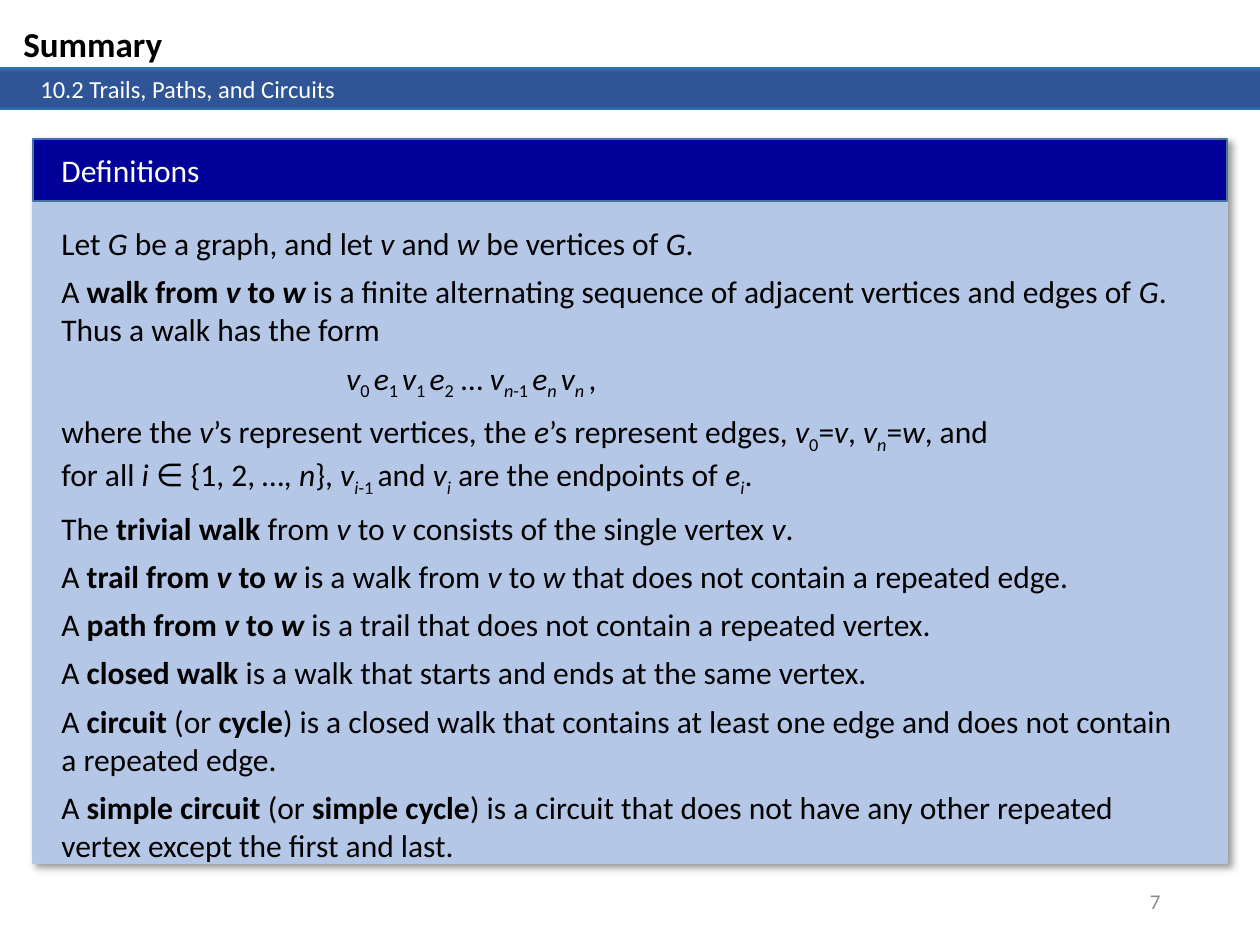
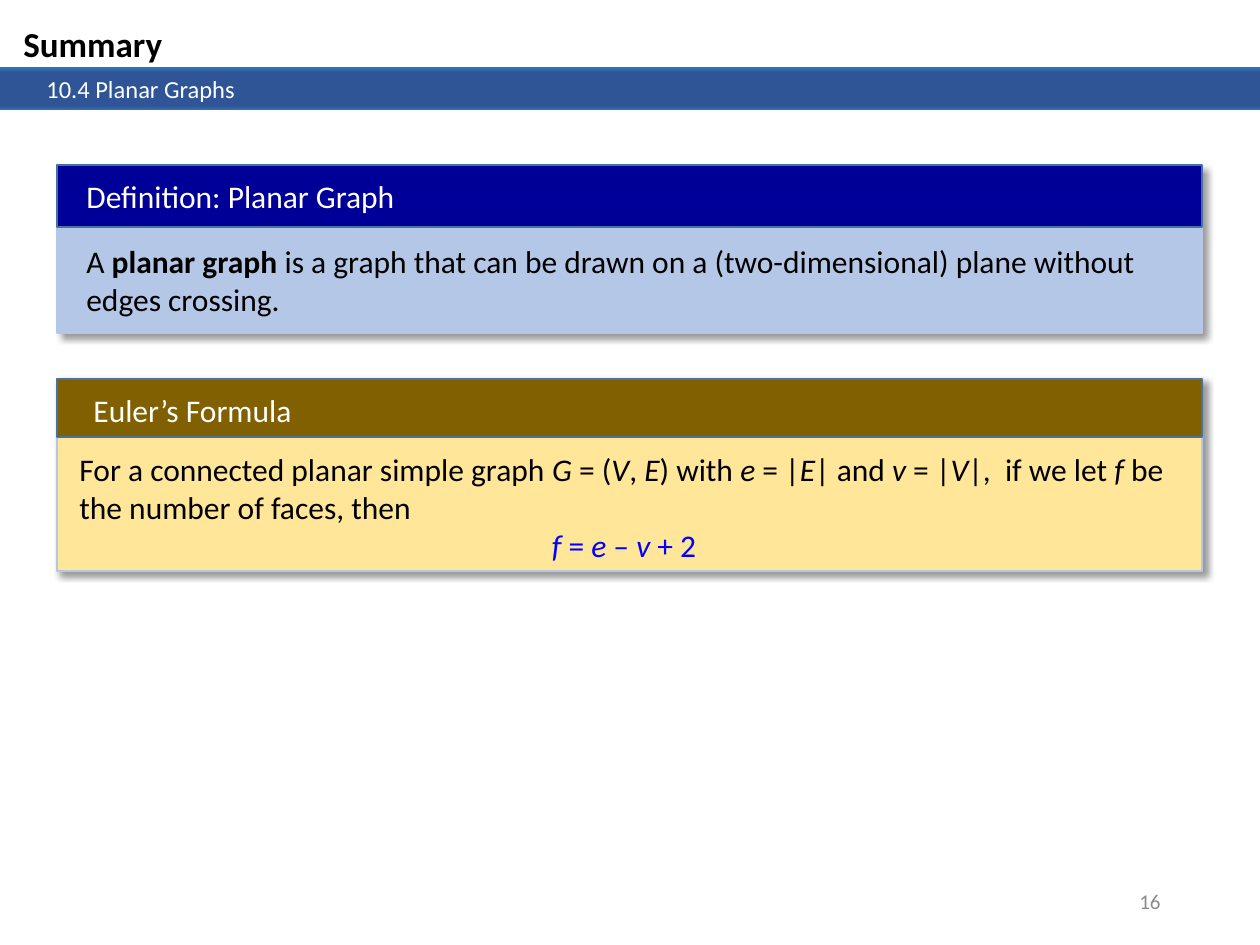
from dataclasses import dataclass
from itertools import groupby

from lxml import etree
from pptx import Presentation
from pptx import util as u
from pptx.dml.color import RGBColor
from pptx.enum import shapes, text
from pptx.oxml import ns

PIXELS_PER_INCH = 126
SLIDE_WIDTH, SLIDE_HEIGHT = 1260, 945
STYLE_MARKS = {"*": "bold", "~": "italic", "_": "subscript"}


@dataclass(frozen=True)
class Theme:
    """Colours, font and type sizes shared by the slides."""
    font: str = "Calibri"
    black: str = "000000"
    white: str = "FFFFFF"
    grey: str = "8C8C8C"
    formula: str = "0000FF"
    band_edge: str = "2E75B6"
    band_middle: str = "2F5597"
    card_line: str = "B4C7E7"
    header_line: str = "43739E"
    blue: tuple = ("000099", "B4C7E7")
    gold: tuple = ("806000", "FFE699")
    title_size: int = 20
    body_size: int = 18
    band_size: int = 14
    number_size: int = 12


THEME = Theme()


def px(length):
    """Turn pixels into EMU."""
    return u.Emu(round(length * u.Inches(1) / PIXELS_PER_INCH))


def add_xml(shape, tag, content, **attributes):
    """Build a drawing element from XML text, with attributes, for a shape."""
    element = etree.fromstring(f'<a:{tag} {ns.nsdecls("a")}>{content}</a:{tag}>')
    for name, value in attributes.items():
        element.set(name, str(value))
    properties = shape._element.spPr
    if tag == "gradFill":
        properties.insert(2, element)
    else:
        properties.append(element)


def write(paragraph, source, size, color, bold=False, align="LEFT", after=0, indent=0):
    """Fill a paragraph: * is bold, ~ italic, _ subscript, each on and off."""
    paragraph_format = {"alignment": getattr(text.PP_ALIGN, align),
                        "space_after": u.Pt(after)}
    for name, value in paragraph_format.items():
        setattr(paragraph, name, value)
    if indent:
        paragraph._p.get_or_add_pPr().set("marL", str(px(indent)))
    style = {"bold": bold, "italic": False, "subscript": False}
    for is_plain, group in groupby(source, lambda c: c not in STYLE_MARKS and c != "\n"):
        piece = "".join(group)
        if not is_plain:
            for mark in piece:
                if mark == "\n":
                    paragraph.add_line_break()
                else:
                    style[STYLE_MARKS[mark]] = not style[STYLE_MARKS[mark]]
            continue
        run = paragraph.add_run()
        run.text = piece
        font_format = {"name": THEME.font, "size": u.Pt(size),
                       "bold": style["bold"], "italic": style["italic"]}
        for name, value in font_format.items():
            setattr(run.font, name, value)
        run.font.color.rgb = RGBColor.from_string(color)
        if style["subscript"]:
            run._r.get_or_add_rPr().set("baseline", "-25000")


def add_text(parent, box, paragraphs, anchor="TOP"):
    """Add a wrapping text box; each paragraph is a dict of write arguments."""
    frame = parent.shapes.add_textbox(*map(px, box)).text_frame
    frame.word_wrap = True
    frame.vertical_anchor = getattr(text.MSO_ANCHOR, anchor)
    for index, options in enumerate(paragraphs):
        write(frame.add_paragraph() if index else frame.paragraphs[0], **options)


def add_box(parent, box, fill=None, line=None):
    """Add a rectangle with an optional solid fill and one-point line."""
    shape = parent.shapes.add_shape(shapes.MSO_SHAPE.RECTANGLE, *map(px, box))
    shape.shadow.inherit = False
    if fill:
        shape.fill.solid()
        shape.fill.fore_color.rgb = RGBColor.from_string(fill)
    if line:
        shape.line.color.rgb = RGBColor.from_string(line)
        shape.line.width = u.Pt(1)
    else:
        shape.line.fill.background()
    return shape


def add_band(slide, box, section, indent):
    """Add the two overlapping gradient strips that carry the section name."""
    left, top, width, height = box
    stops = ((0, THEME.band_edge), (11, THEME.band_middle),
             (91, THEME.band_middle), (100, THEME.band_edge))
    gradient = "".join(f'<a:gs pos="{place * 1000}"><a:srgbClr val="{color}"/></a:gs>'
                       for place, color in stops)
    for strip in ((left, top, width, height - 5), (left, top + 1, width, height - 1)):
        shape = add_box(slide, strip)
        add_xml(shape, "gradFill", f'<a:gsLst>{gradient}</a:gsLst><a:lin ang="5400000"/>')
    shape.text_frame.vertical_anchor = text.MSO_ANCHOR.TOP
    write(shape.text_frame.paragraphs[0], section, THEME.band_size, THEME.white,
          indent=indent)


def add_card(slide, box, colors, header_height, label, label_left, body_box, paragraphs):
    """Add a shadowed card; label and body are placed relative to its corner."""
    left, top, width, height = box
    header_color, body_color = colors
    group = slide.shapes.add_group_shape()
    card = add_box(group, box, body_color, THEME.card_line)
    effects = card._element.spPr.find(ns.qn("a:effectLst"))
    card._element.spPr.remove(effects)
    add_xml(card, "effectLst",
            f'<a:outerShdw blurRad="{u.Pt(4)}" dist="{u.Pt(3)}" dir="2700000" '
            f'algn="tl" rotWithShape="0"><a:srgbClr val="{THEME.black}">'
            '<a:alpha val="40000"/></a:srgbClr></a:outerShdw>')
    add_box(group, (left, top, width, header_height), header_color, THEME.header_line)
    add_text(group, (left + label_left, top + 6, width - 4 * label_left, 50),
             [{"source": label, "size": THEME.body_size, "color": THEME.white}])
    body_left, body_top, body_width, body_height = body_box
    body_style = {"size": THEME.body_size, "color": THEME.black}
    add_text(group, (left + body_left, top + body_top, body_width, body_height),
             [body_style | paragraph for paragraph in paragraphs])


def add_summary_slide(presentation, section, indent, number):
    """Add a slide with the shared title, section band and slide number."""
    slide = presentation.slides.add_slide(presentation.slide_layouts[6])
    add_band(slide, (0, 67, SLIDE_WIDTH, 43), section, indent)
    add_text(slide, (11, 16, 339, 55),
             [{"source": "Summary", "size": THEME.title_size, "color": THEME.black,
               "bold": True}])
    add_text(slide, (890, 876, 283, 50),
             [{"source": str(number), "size": THEME.number_size, "color": THEME.grey,
               "align": "RIGHT"}], anchor="MIDDLE")
    return slide


def build_walks_slide(presentation):
    """Build the slide that defines walks, trails, paths and circuits."""
    slide = add_summary_slide(presentation, "10.2 Trails, Paths, and Circuits", 28, 7)
    definitions = [
        "Let ~G ~be a graph, and let ~v~ and ~w~ be vertices of ~G~. ",
        "A *walk from ~v~ to ~w~* is a finite alternating sequence of adjacent "
        "vertices and edges of ~G~. Thus a walk has the form",
        "~v~_0 _~e~_1 _~v~_1 _~e~_2_ … ~v_n~-1 _~e_n _v_n _~,",
        "where the ~v~’s represent vertices, the ~e~’s represent edges, "
        "~v~_0_=~v~, ~v_n_~=~w~, and \nfor all ~i ~∈ {1, 2, …, ~n~}, "
        "~v_i~-1 _and ~v_i_~ are the endpoints of ~e_i_~. ",
        "The *trivial walk *from ~v~ to ~v~ consists of the single vertex ~v~.",
        "A *trail from ~v~ to ~w~* is a walk from ~v~ to ~w~ that does not contain "
        "a repeated edge.",
        "A *path from ~v~ to ~w ~*is a trail that does not contain a repeated vertex.",
        "A *closed walk *is a walk that starts and ends at the same vertex.",
        "A *circuit* (or *cycle*) is a closed walk that contains at least one edge "
        "and does not contain a repeated edge.",
        "A *simple circuit *(or *simple cycle*) is a circuit that does not have any "
        "other repeated vertex except the first and last.",
    ]
    paragraphs = [{"source": source, "after": 6} for source in definitions]
    paragraphs[2]["indent"] = 285
    add_card(slide, (33, 139, 1194, 724), THEME.blue, 62, "Definitions", 16,
             (16, 79, 1148, 643), paragraphs)


def build_planar_slide(presentation):
    """Build the slide on planar graphs and Euler's formula."""
    slide = add_summary_slide(presentation, "10.4 Planar Graphs", 34, 16)
    add_card(slide, (57, 379, 1145, 192), THEME.gold, 58, "Euler’s Formula", 24,
             (10, 65, 1114, 127), [
                 {"source": "For a connected planar simple graph ~G~ = (~V~, ~E~) with "
                            "~e~ = |~E~| and ~v~ = |~V~|,  if we let ~f~ be the number "
                            "of faces, then"},
                 {"source": "~f~ = ~e~ – ~v~ + 2", "color": THEME.formula,
                  "align": "CENTER"}])
    add_card(slide, (57, 165, 1145, 168), THEME.blue, 62, "Definition: Planar Graph", 17,
             (17, 71, 1106, 89), [
                 {"source": "A *planar graph *is a graph that can be drawn on a "
                            "(two-dimensional) plane without edges crossing.",
                  "after": 6}])


def main():
    """Build and save the presentation."""
    presentation = Presentation()
    presentation.slide_width = px(SLIDE_WIDTH)
    presentation.slide_height = px(SLIDE_HEIGHT)
    build_walks_slide(presentation)
    build_planar_slide(presentation)
    presentation.save("out.pptx")


main()
